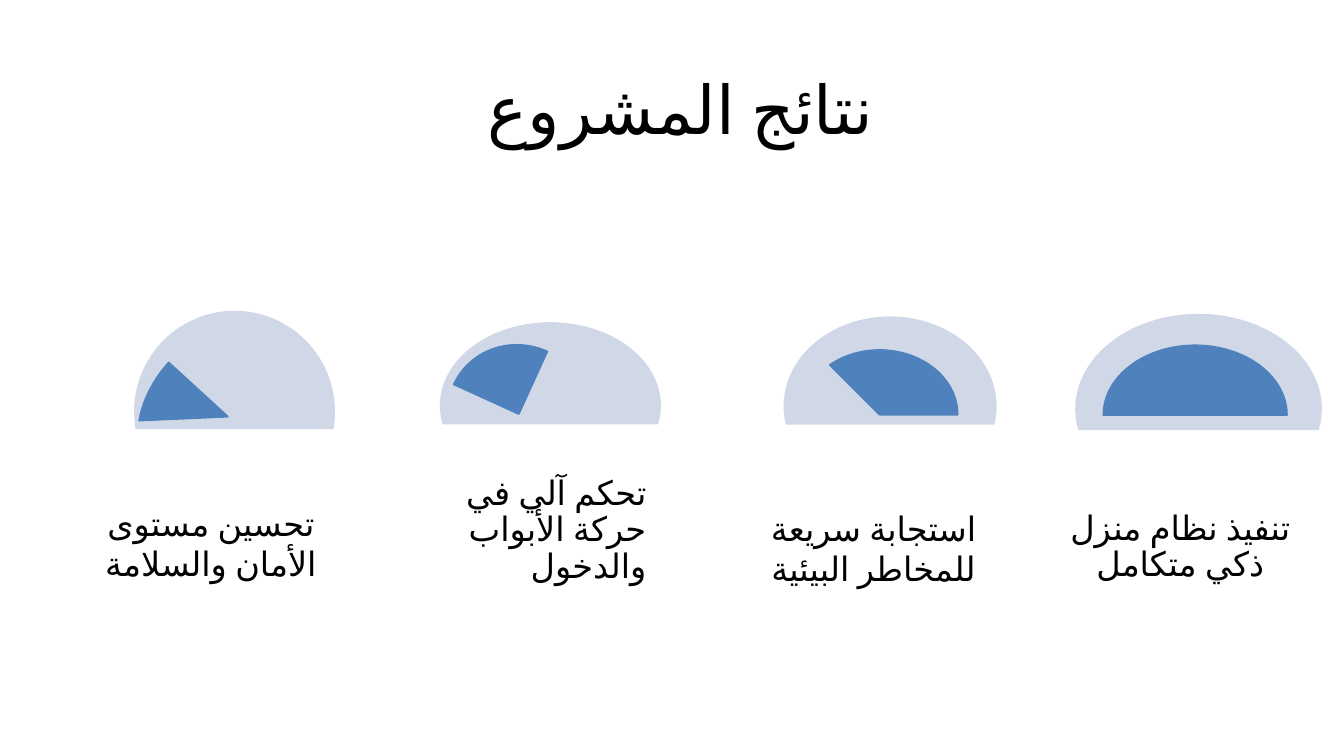
from pptx import Presentation
from pptx.dml.color import RGBColor
from pptx.enum.lang import MSO_LANGUAGE_ID
from pptx.enum.shapes import MSO_SHAPE
from pptx.enum.text import MSO_ANCHOR, PP_ALIGN
from pptx.util import Inches, Pt

ARABIC = MSO_LANGUAGE_ID.ARABIC
CHORD, PIE = MSO_SHAPE.CHORD, MSO_SHAPE.PIE
CENTER, RIGHT = PP_ALIGN.CENTER, PP_ALIGN.RIGHT
TOP, BOTTOM = MSO_ANCHOR.TOP, MSO_ANCHOR.BOTTOM


def color(hex_string):
    return RGBColor.from_string(hex_string)


class Deck:
    font = "Calibri"
    text_color = "000000"
    dial_color = "D0D8E8"
    level_color = "4F81BD"

    def __init__(self, slide):
        self.slide = slide

    def text(self, box, text, size, align, anchor=TOP, line_spacing=None):
        shape = self.slide.shapes.add_textbox(*map(Inches, box))
        frame = shape.text_frame
        frame.word_wrap = True
        frame.vertical_anchor = anchor
        frame.margin_left = frame.margin_right = 0
        frame.margin_top = frame.margin_bottom = 0
        paragraph = frame.paragraphs[0]
        paragraph.text = text
        paragraph.alignment = align
        paragraph.line_spacing = line_spacing
        paragraph.font.name = self.font
        paragraph.font.size = Pt(size)
        paragraph.font.color.rgb = color(self.text_color)
        # Arabic language and right-to-left reading order
        paragraph.runs[0].font.language_id = ARABIC
        paragraph._p.get_or_add_pPr().set("rtl", "1")

    def sector(self, kind, box, rotation, start, end, fill, line_width=None):
        """Draw a chord or pie between two angles given in degrees."""
        shape = self.slide.shapes.add_shape(kind, *map(Inches, box))
        shape.shadow.inherit = False
        shape.rotation = rotation
        # Angles are stored in 1/60000 degree, adjustments in 1/100000
        shape.adjustments[0] = start * 0.6
        shape.adjustments[1] = end * 0.6
        shape.fill.solid()
        shape.fill.fore_color.rgb = color(fill)
        if line_width:
            shape.line.color.rgb = color(fill)
            shape.line.width = Pt(line_width)
        else:
            shape.line.fill.background()

    def gauge(self, dial_box, level_box, rotation, start):
        self.sector(CHORD, dial_box, 90, 80, 280, self.dial_color)
        self.sector(PIE, level_box, rotation, start, 270, self.level_color, 2)


# Dial box, level box, level rotation, level start angle,
# label box, label, alignment, line spacing
RESULTS = [
    ((1.99, 4.63, 3, 2.99), (1.89, 5.01, 3, 2.38), 312.5, 225,
     (1.42, 7.62, 3.44, 1.06), "تحسين مستوى الأمان والسلامة", CENTER, None),
    ((6.95, 4.39, 2.48, 3.29), (6.66, 5.14, 2.12, 2.04), 24.5, 180,
     (6.25, 7.54, 3.37, 1.17), "تحكم آلي في حركة الأبواب والدخول", RIGHT, 0.9),
    ((11.91, 4.46, 2.67, 3.17), (12.13, 5.01, 1.92, 2.32), 90, 135,
     (10.71, 7.46, 4.58, 1.3), "استجابة سريعة للمخاطر البيئية", CENTER, None),
    ((16.42, 4.25, 2.83, 3.67), (16.75, 4.81, 2.07, 2.73), 90, 90,
     (15.83, 7.38, 3.47, 1.31), "تنفيذ نظام منزل ذكي متكامل", CENTER, 0.9),
]


def main():
    presentation = Presentation()
    presentation.slide_width = Inches(20)
    presentation.slide_height = Inches(11.25)
    deck = Deck(presentation.slides.add_slide(presentation.slide_layouts[6]))

    # Title
    deck.text((6.71, 1.04, 6.29, 1.19), "نتائج المشروع", 72, RIGHT,
              line_spacing=Pt(84))

    # Gauges with their labels
    for dial, level, rotation, start, label_box, label, align, spacing in RESULTS:
        deck.gauge(dial, level, rotation, start)
        deck.text(label_box, label, 36, align, BOTTOM, spacing)

    presentation.save("out.pptx")


if __name__ == "__main__":
    main()
